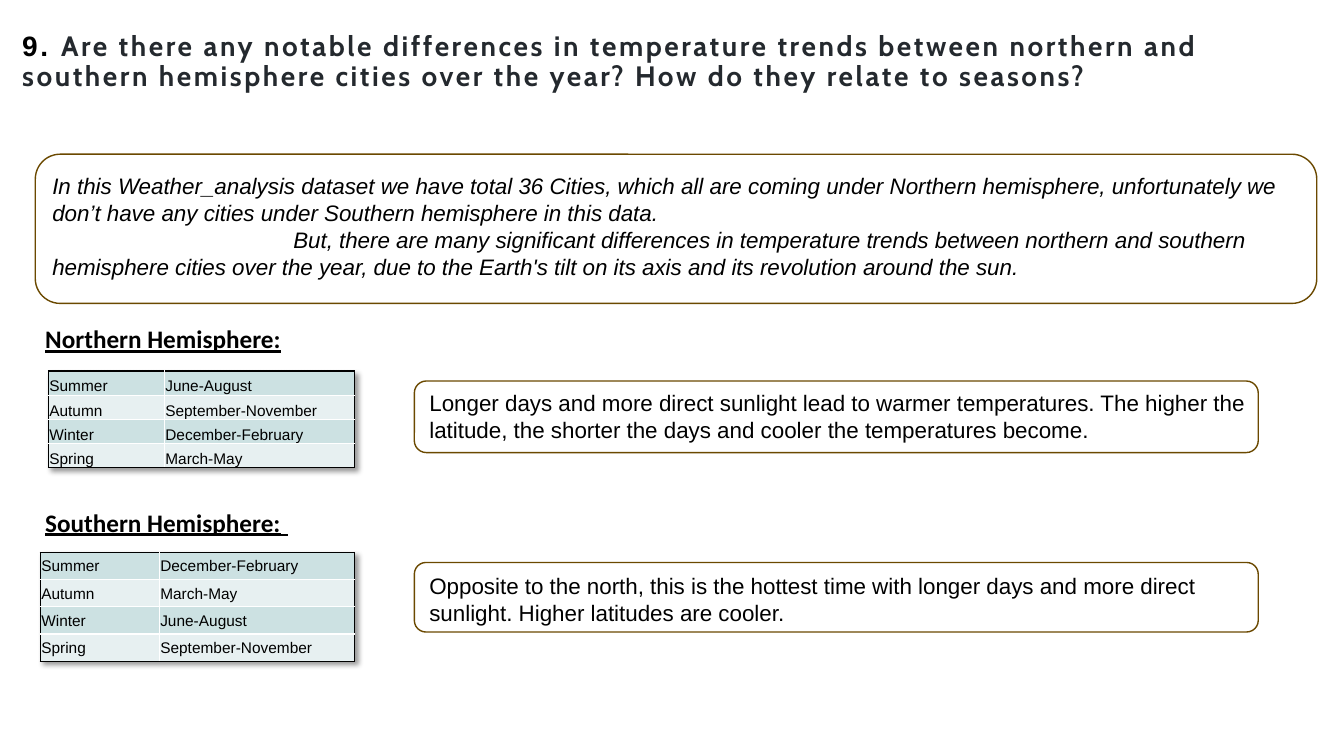
from lxml.etree import SubElement
from pptx import Presentation
from pptx.dml.color import RGBColor
from pptx.enum.shapes import MSO_SHAPE
from pptx.enum.text import MSO_ANCHOR, PP_ALIGN
from pptx.oxml import parse_xml
from pptx.oxml.ns import nsdecls, qn
from pptx.util import Inches, Pt

COLORS = {
    "black": "000000", "white": "FFFFFF", "question": "24292E",
    "frame": "6B4900", "band_dark": "CCE1E2", "band_light": "E7F0F1",
}
NUMBER = "9. "
QUESTION = ("Are there any notable differences in temperature trends between northern and "
            "southern hemisphere cities over the year? How do they relate to seasons?")
SUMMARY = [
    "In this Weather_analysis dataset we have total 36 Cities, which all are coming under "
    "Northern hemisphere, unfortunately we don’t have any cities under Southern hemisphere "
    "in this data.",
    "But, there are many significant differences in temperature trends between northern and "
    "southern hemisphere cities over the year, due to the Earth's tilt on its axis and its "
    "revolution around the sun.",
]
SEASONS = ["Summer", "Autumn", "Winter", "Spring"]
# Boxes are left, top, width, height in inches.
HEMISPHERES = [
    {
        "heading": "Northern Hemisphere:", "heading_box": (0.35, 3.16, 2.58, 0.4),
        "months": ["June-August", "September-November", "December-February", "March-May"],
        "table_box": (0.48, 3.68, 3.04, 0.96), "season_width": 1.15,
        "anchor": MSO_ANCHOR.BOTTOM,
        "note": "Longer days and more direct sunlight lead to warmer temperatures. The higher "
                "the latitude, the shorter the days and cooler the temperatures become.",
        "note_box": (4.16, 3.81, 8.32, 0.64), "frame_box": (4.11, 3.78, 8.37, 0.71),
    },
    {
        "heading": "Southern Hemisphere:", "heading_box": (0.35, 4.98, 2.68, 0.4),
        "months": ["December-February", "March-May", "June-August", "September-November"],
        "table_box": (0.4, 5.48, 3.12, 1.08), "season_width": 1.18,
        "anchor": MSO_ANCHOR.MIDDLE,
        "note": "Opposite to the north, this is the hottest time with longer days and more "
                "direct sunlight. Higher latitudes are cooler.",
        "note_box": (4.16, 5.63, 8.32, 0.64), "frame_box": (4.11, 5.58, 8.37, 0.69),
    },
]


def inches(box):
    return [Inches(length) for length in box]


def style(font, size, name="Arial", color="black", bold=False, italic=False):
    font.size, font.name = Pt(size), name
    font.bold, font.italic = bold, italic
    font.color.rgb = RGBColor.from_string(COLORS[color])


def add_title(slide):
    title = slide.shapes.title
    title.left, title.top, title.width, title.height = inches((0.1, 0.12, 13.13, 1.29))
    frame = title.text_frame
    frame.word_wrap = True
    frame.vertical_anchor = MSO_ANCHOR.TOP
    frame.margin_left = frame.margin_right = Inches(0.12)
    frame.margin_top = Inches(0.2)
    paragraph = frame.paragraphs[0]
    paragraph.alignment = PP_ALIGN.LEFT
    paragraph.line_spacing = 0.9
    for words, name, color in ((NUMBER, "Arial", "black"), (QUESTION, "Cabin", "question")):
        run = paragraph.add_run()
        run.text = words
        style(run.font, 20, name, color, bold=True)
        run.font._element.set("spc", "180")


def add_text(slide, box, paragraphs, italic=False):
    frame = slide.shapes.add_textbox(*inches(box)).text_frame
    frame.word_wrap = True
    for index, words in enumerate(paragraphs):
        paragraph = frame.paragraphs[0] if index == 0 else frame.add_paragraph()
        paragraph.text = words
        style(paragraph.font, 16, italic=italic)
    return frame


def add_heading(slide, box, heading):
    frame = slide.shapes.add_textbox(*inches(box)).text_frame
    frame.word_wrap = True
    for words, name, bold in ((heading, "Calibri", True), (" ", "Arial", False)):
        run = frame.paragraphs[0].add_run()
        run.text = words
        style(run.font, 18, name, bold=bold)
        run.font.underline = True


def add_frame(slide, box):
    outline = slide.shapes.add_shape(MSO_SHAPE.ROUNDED_RECTANGLE, *inches(box))
    outline.shadow.inherit = False
    outline.fill.background()
    outline.line.color.rgb = RGBColor.from_string(COLORS["frame"])
    outline.line.width = Pt(1)


def add_border(cell, side, color):
    line = SubElement(cell._tc.get_or_add_tcPr(), qn(f"a:ln{side}"), w=str(Pt(1)))
    fill = SubElement(line, qn("a:solidFill"))
    SubElement(fill, qn("a:srgbClr"), val=COLORS[color])


def add_shadow(table):
    table._tbl.tblPr.insert(0, parse_xml(
        f'<a:effectLst {nsdecls("a")}><a:outerShdw blurRad="50800" dist="38100" '
        'dir="2700000" algn="tl" rotWithShape="0"><a:srgbClr val="000000">'
        '<a:alpha val="40000"/></a:srgbClr></a:outerShdw></a:effectLst>'))


def add_season_table(slide, box, season_width, months, anchor):
    rows = list(zip(SEASONS, months))
    table = slide.shapes.add_table(len(rows), 2, *inches(box)).table
    table.first_row = table.horz_banding = False
    add_shadow(table)
    table.columns[0].width = Inches(season_width)
    table.columns[1].width = Inches(box[2] - season_width)
    for r, row in enumerate(rows):
        table.rows[r].height = Inches(box[3] / len(rows))
        for c, words in enumerate(row):
            cell = table.cell(r, c)
            outer_sides = {"L": c == 0, "R": c == 1, "T": r == 0, "B": r == len(rows) - 1}
            for side, outer in outer_sides.items():
                add_border(cell, side, "black" if outer else "white")
            cell.fill.solid()
            band = "band_light" if r % 2 else "band_dark"
            cell.fill.fore_color.rgb = RGBColor.from_string(COLORS[band])
            cell.margin_left = cell.margin_right = cell.margin_top = Inches(0.01)
            cell.margin_bottom = 0
            cell.vertical_anchor = anchor
            paragraph = cell.text_frame.paragraphs[0]
            paragraph.text = words
            style(paragraph.font, 11)


def main():
    deck = Presentation()
    deck.slide_width, deck.slide_height = Inches(13.33), Inches(7.5)
    slide = deck.slides.add_slide(deck.slide_layouts[5])
    add_title(slide)
    summary = add_text(slide, (0.42, 1.66, 12.58, 1.18), SUMMARY, italic=True)
    summary.paragraphs[1]._p.get_or_add_pPr().set("indent", str(Inches(2.39)))
    add_frame(slide, (0.35, 1.53, 12.71, 1.48))
    for half in HEMISPHERES:
        add_heading(slide, half["heading_box"], half["heading"])
        add_season_table(slide, half["table_box"], half["season_width"],
                         half["months"], half["anchor"])
        add_text(slide, half["note_box"], [half["note"]])
        add_frame(slide, half["frame_box"])
    deck.save("out.pptx")


if __name__ == "__main__":
    main()
